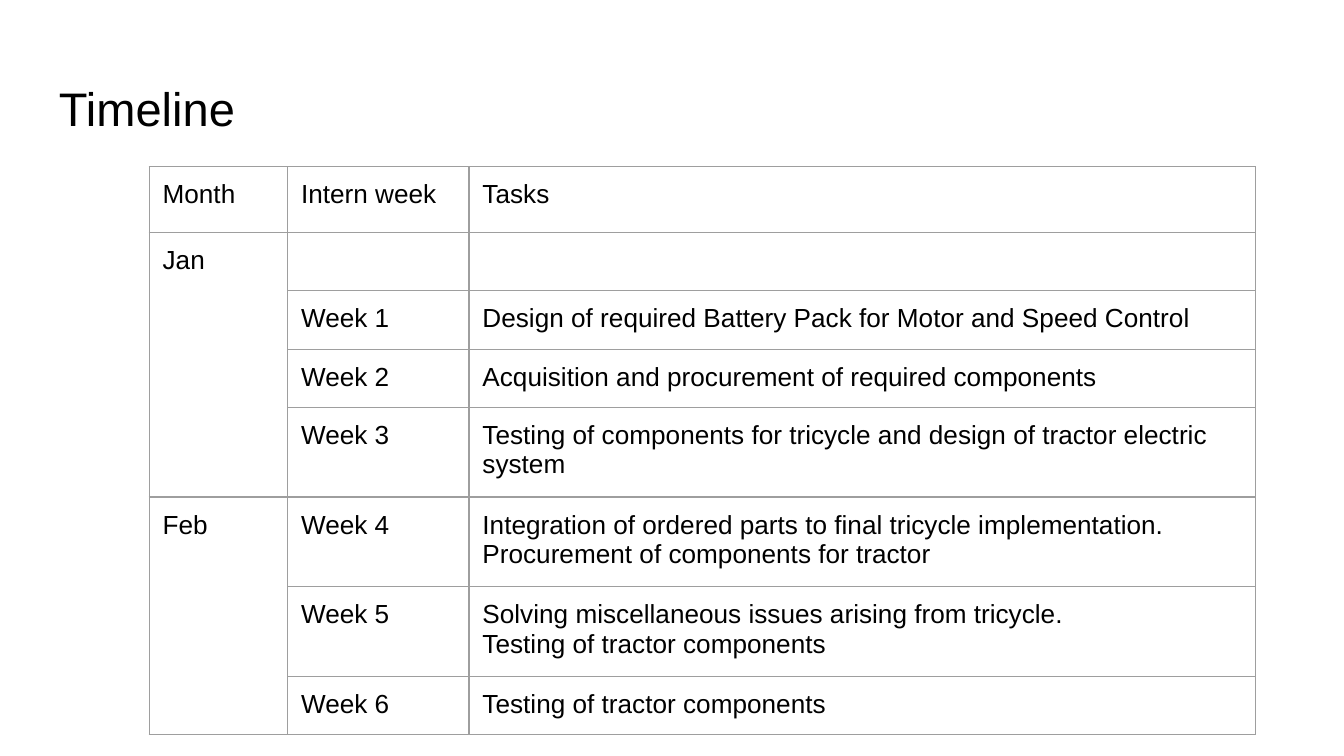
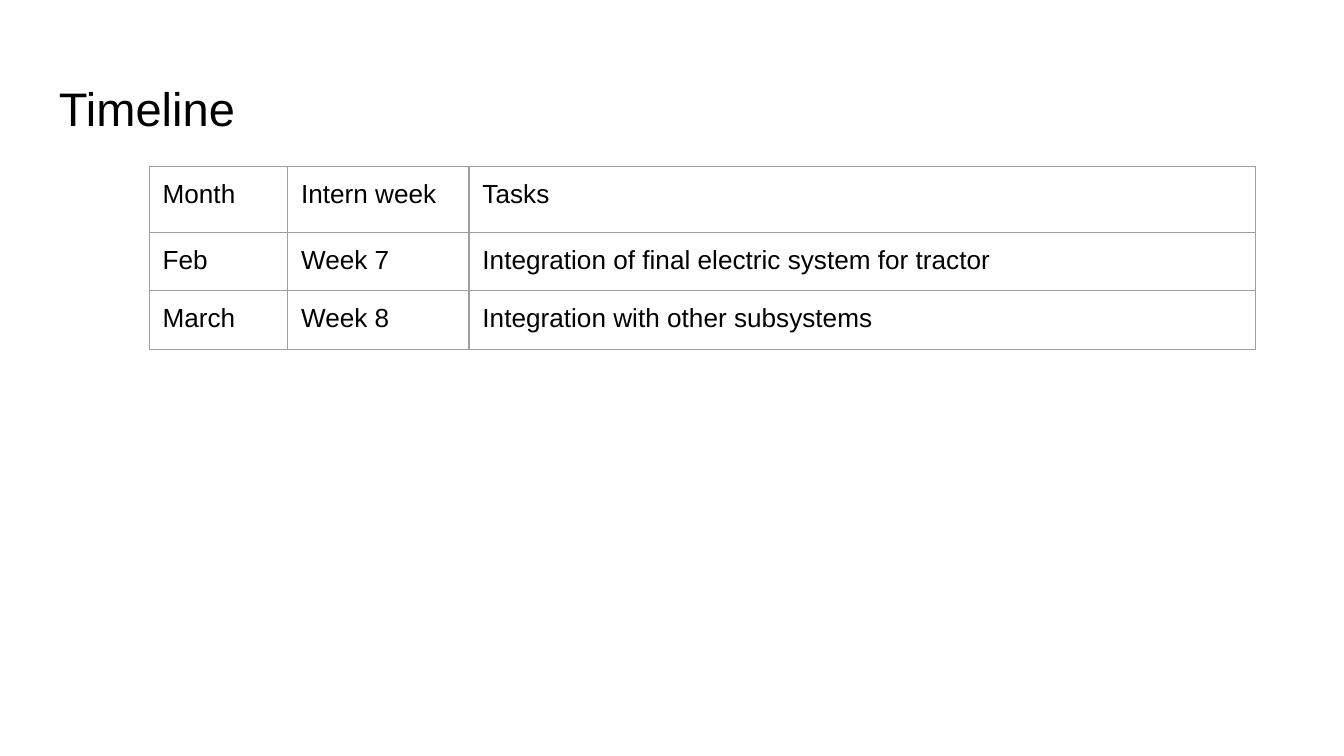
from dataclasses import dataclass

from lxml.etree import SubElement
from pptx import Presentation
from pptx.dml.color import RGBColor as RGB
from pptx.oxml.ns import qn
from pptx.util import Inches, Pt


@dataclass(frozen=True)
class Theme:
    font: str = "Arial"
    text: str = "000000"
    border: str = "9E9E9E"
    border_width: float = 0.75
    title_size: float = 25.2
    table_size: float = 14
    inset: float = 0.1


THEME = Theme()
BLANK_LAYOUT = 6

# Table layout and content
COLUMN_WIDTHS = (1.03, 1.35, 5.85)
HEADER_HEIGHT, ROW_HEIGHT = 0.49, 0.39
HEADER = ("Month", "Intern week", "Tasks")

# Each month holds its (week, tasks) rows
FIRST_MONTHS = [
    ("Jan", [
        ("", ""),
        ("Week 1", "Design of required Battery Pack for Motor and Speed Control"),
        ("Week 2", "Acquisition and procurement of required components"),
        ("Week 3", "Testing of components for tricycle and design of tractor electric system"),
    ]),
    ("Feb", [
        ("Week 4", "Integration of ordered parts to final tricycle implementation.\n"
                   "Procurement of components for tractor"),
        ("Week 5", "Solving miscellaneous issues arising from tricycle.\n"
                   "Testing of tractor components"),
        ("Week 6", "Testing of tractor components"),
    ]),
]
LAST_MONTHS = [
    ("Feb", [("Week 7", "Integration of final electric system for tractor")]),
    ("March", [("Week 8", "Integration with other subsystems")]),
]


def set_text(tf, text, size):
    tf.text = text
    for p in tf.paragraphs:
        p.line_spacing = 1.0
        for r in p.runs:
            r.font.name = THEME.font
            r.font.size = Pt(size)
            r.font.color.rgb = RGB.from_string(THEME.text)
        # The paragraph end sets the line height as well
        end = SubElement(p._p, qn("a:endParaRPr"), sz=str(round(size * 100)))
        SubElement(end, qn("a:latin"), typeface=THEME.font)


def set_margins(box):
    box.margin_left = box.margin_right = Inches(THEME.inset)
    box.margin_top = box.margin_bottom = Inches(THEME.inset)


def add_title(s, text):
    sp = s.shapes.add_textbox(Inches(0.34), Inches(0.49), Inches(9.32), Inches(0.63))
    tf = sp.text_frame
    tf.word_wrap = True
    set_margins(tf)
    set_text(tf, text, THEME.title_size)


def add_borders(cell):
    tc_pr = cell._tc.get_or_add_tcPr()
    for side in ("lnL", "lnR", "lnT", "lnB"):
        ln = SubElement(tc_pr, qn(f"a:{side}"), w=str(Pt(THEME.border_width)))
        fill = SubElement(ln, qn("a:solidFill"))
        SubElement(fill, qn("a:srgbClr"), val=THEME.border)


def fill_cell(cell, text):
    set_margins(cell)
    set_text(cell.text_frame, text, THEME.table_size)
    add_borders(cell)
    cell.fill.background()


def add_timeline(s, months):
    # Only the first row of a month carries its name
    rows = [HEADER]
    for month, weeks in months:
        rows += [(month if i == 0 else "", *week) for i, week in enumerate(weeks)]
    heights = [HEADER_HEIGHT] + [ROW_HEIGHT] * (len(rows) - 1)

    frame = s.shapes.add_table(
        len(rows), len(HEADER), Inches(1.11), Inches(1.24),
        Inches(sum(COLUMN_WIDTHS)), Inches(sum(heights)))
    table = frame.table
    table.first_row = table.horz_banding = False
    for column, width in zip(table.columns, COLUMN_WIDTHS):
        column.width = Inches(width)
    for row, height, texts in zip(table.rows, heights, rows):
        row.height = Inches(height)
        for cell, text in zip(row.cells, texts):
            fill_cell(cell, text)

    # Month cells span their weeks
    top = 1
    for _, weeks in months:
        bottom = top + len(weeks) - 1
        if bottom > top:
            table.cell(top, 0).merge(table.cell(bottom, 0))
        top = bottom + 1


def main():
    prs = Presentation()
    prs.slide_width = Inches(10)
    prs.slide_height = prs.slide_width * 9 // 16
    for months in (FIRST_MONTHS, LAST_MONTHS):
        s = prs.slides.add_slide(prs.slide_layouts[BLANK_LAYOUT])
        add_title(s, "Timeline")
        add_timeline(s, months)
    prs.save("out.pptx")


if __name__ == "__main__":
    main()
